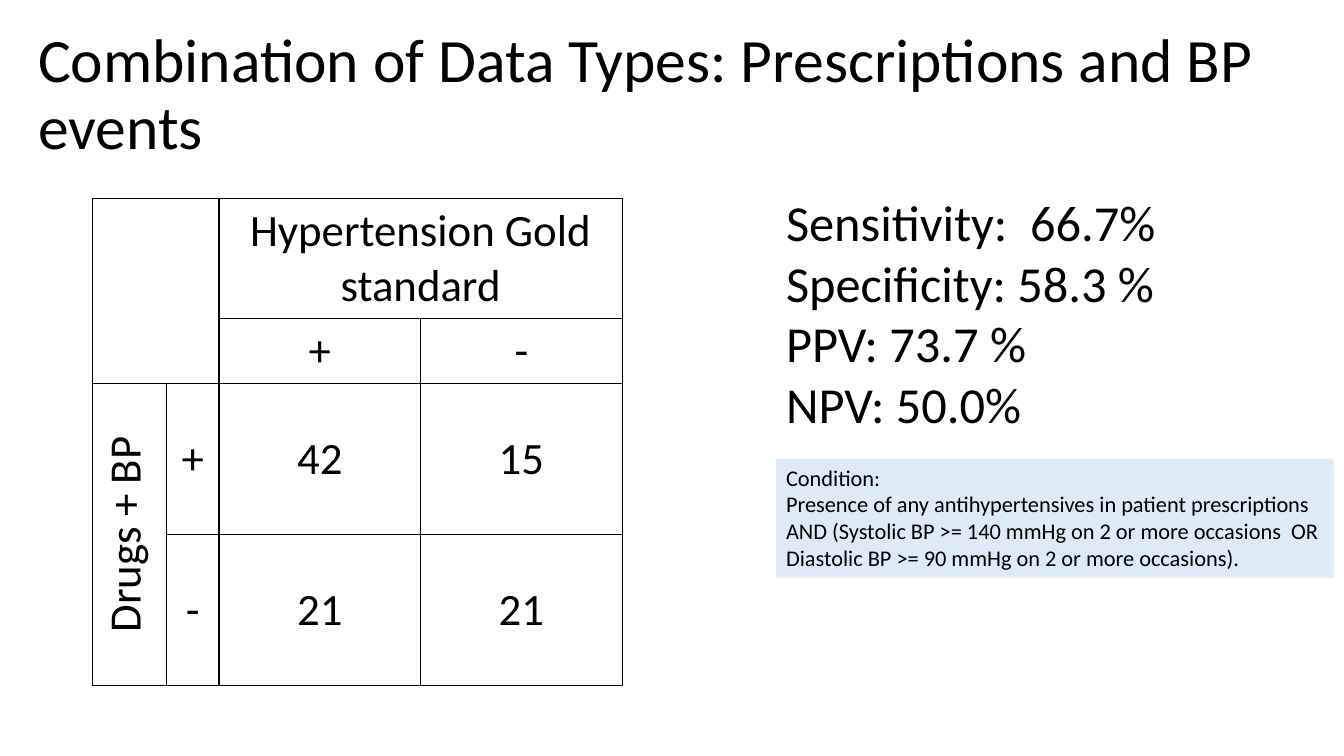
from lxml.etree import SubElement
from pptx import Presentation
from pptx.dml.color import RGBColor
from pptx.enum.shapes import MSO_SHAPE as SHAPE
from pptx.enum.text import MSO_ANCHOR as ANCHOR, PP_ALIGN as ALIGN
from pptx.oxml.ns import qn
from pptx.util import Cm, Pt

FONT, BLACK, PALE_BLUE = "Calibri", "000000", "DEEBF7"

TITLE = ["Combination of Data Types: Prescriptions and BP events"]
MEASURES = [
    "Sensitivity:  66.7%",
    "Specificity: 58.3 %",
    "PPV: 73.7 %",
    "NPV: 50.0%",
]
CONDITION = [
    "Condition:",
    "Presence of any antihypertensives in patient prescriptions AND "
    "(Systolic BP >= 140 mmHg on 2 or more occasions  OR "
    "Diastolic BP >= 90 mmHg on 2 or more occasions).",
]
CONFUSION = [
    ["", "", "Hypertension Gold standard", ""],
    ["", "", "+", "-"],
    ["Drugs + BP", "+", "42", "15"],
    ["", "-", "21", "21"],
]
MERGES = [((0, 0), (1, 1)), ((0, 2), (0, 3)), ((2, 0), (3, 0))]
COL_WIDTHS = [1.86, 1.32, 5.08, 5.08]
ROW_HEIGHTS = [3.03, 1.63, 3.81, 3.81]


def rgb(color):
    return RGBColor.from_string(color)


def write(tf, lines, size, anchor=ANCHOR.TOP, align=ALIGN.LEFT, spacing=None):
    tf.word_wrap = True
    tf.vertical_anchor = anchor
    tf.text = "\n".join(lines)
    for p in tf.paragraphs:
        p.alignment = align
        p.line_spacing = spacing
        p.font.name, p.font.size = FONT, Pt(size)
        p.font.color.rgb = rgb(BLACK)


def add_borders(cell):
    tc_pr = cell._tc.get_or_add_tcPr()
    for i, side in enumerate(("lnL", "lnR", "lnT", "lnB")):
        ln = SubElement(tc_pr, qn(f"a:{side}"), w=str(Pt(1)))
        fill = SubElement(ln, qn("a:solidFill"))
        SubElement(fill, qn("a:srgbClr"), val=BLACK)
        tc_pr.insert(i, ln)  # borders precede the cell fill


def add_confusion_table(s, left, top):
    frame = s.shapes.add_table(len(ROW_HEIGHTS), len(COL_WIDTHS), left, top,
                               Cm(sum(COL_WIDTHS)), Cm(sum(ROW_HEIGHTS)))
    table = frame.table
    table.first_row = table.horz_banding = False
    for col, width in zip(table.columns, COL_WIDTHS):
        col.width = Cm(width)
    for row, height, texts in zip(table.rows, ROW_HEIGHTS, CONFUSION):
        row.height = Cm(height)
        for cell, text in zip(row.cells, texts):
            write(cell.text_frame, [text], 32, align=ALIGN.CENTER)
            cell.vertical_anchor = ANCHOR.MIDDLE
            cell.fill.background()
            add_borders(cell)
    for first, last in MERGES:
        table.cell(*first).merge(table.cell(*last))
    table.cell(2, 0)._tc.get_or_add_tcPr().set("vert", "vert270")


prs = Presentation()
prs.slide_width, prs.slide_height = Cm(33.87), Cm(19.05)
s = prs.slides.add_slide(prs.slide_layouts[6])

title = s.shapes.add_textbox(Cm(0.71), Cm(0.56), Cm(32.89), Cm(3.73))
write(title.text_frame, TITLE, 44, ANCHOR.MIDDLE, spacing=0.9)

add_confusion_table(s, Cm(2.34), Cm(5))

measures = s.shapes.add_textbox(Cm(19.56), Cm(4.7), Cm(9.93), Cm(6.4))
write(measures.text_frame, MEASURES, 36)

condition = s.shapes.add_shape(SHAPE.RECTANGLE, Cm(19.56), Cm(11.56), Cm(14.05), Cm(3))
condition.shadow.inherit = False
condition.fill.solid()
condition.fill.fore_color.rgb = rgb(PALE_BLUE)
condition.line.fill.background()
write(condition.text_frame, CONDITION, 16)

prs.save("out.pptx")
